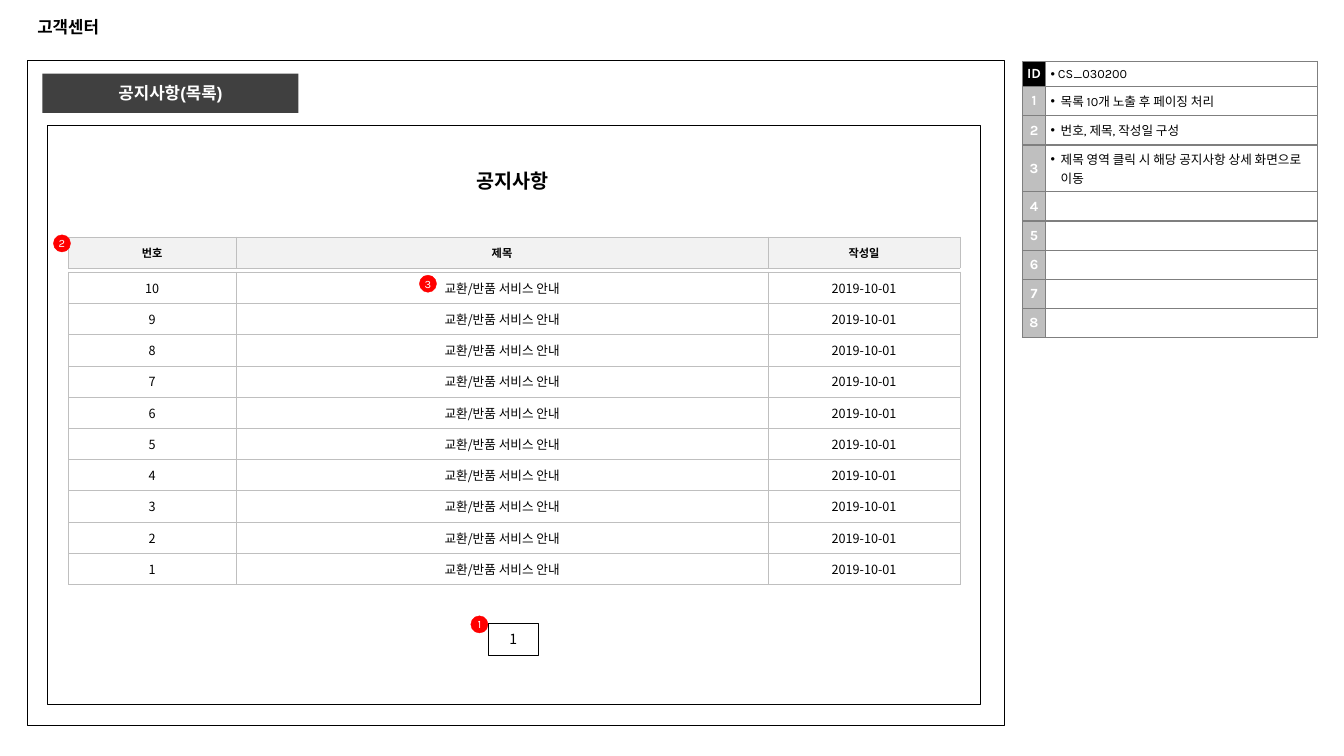
from dataclasses import dataclass
from typing import Optional

from lxml.etree import SubElement as Sub
from pptx import Presentation
from pptx.dml.color import RGBColor
from pptx.enum.shapes import MSO_SHAPE as Kind
from pptx.enum.text import MSO_ANCHOR as Anchor, PP_ALIGN as Align
from pptx.oxml.ns import qn
from pptx.util import Inches, Pt

BLACK = RGBColor(0, 0, 0)
WHITE = RGBColor(255, 255, 255)
DARK = RGBColor(0x40, 0x40, 0x40)
GRAY = RGBColor(0x7F, 0x7F, 0x7F)
SILVER = RGBColor(0xBF, 0xBF, 0xBF)
PALE = RGBColor(0xF2, 0xF2, 0xF2)
RED = RGBColor(255, 0, 0)
NOTO = "Noto Sans CJK KR"


@dataclass
class Style:
    size: float
    face: str
    color: RGBColor = BLACK
    bold: bool = False


@dataclass
class Box:
    left: float
    top: float
    width: float
    height: float
    text: str = ""
    style: Optional[Style] = None
    fill: Optional[RGBColor] = None
    line: Optional[RGBColor] = BLACK
    weight: float = 0.25
    kind: Kind = Kind.RECTANGLE
    inset: Optional[float] = None


HEAD = Style(12, "Arial", bold=True)
BAR = Style(12, "Arial", WHITE, True)
TOPIC = Style(14, "Arial", bold=True)
LABEL = Style(8, NOTO, bold=True)
BODY = Style(9, NOTO)
PAGE = Style(10, NOTO)
DOT = Style(8, "Karla", WHITE)
KEY = Style(10, "Karla", WHITE, True)
NOTE = Style(9, "Karla")


def write(frame, text: str, style: Style, align=Align.CENTER) -> None:
    frame.text = text
    para = frame.paragraphs[0]
    para.alignment = align
    for run in para.runs:
        font = run.font
        font.size, font.name, font.bold = Pt(style.size), style.face, style.bold
        font.color.rgb = style.color
        Sub(run._r.get_or_add_rPr(), qn("a:ea"), typeface=NOTO)
    if not text:
        Sub(para._p, qn("a:endParaRPr"), sz=str(int(style.size * 100)))


def pad(item, inset: float) -> None:
    item.margin_left = item.margin_right = Inches(inset)
    item.margin_top = item.margin_bottom = Inches(inset)


def draw(slide, box: Box) -> None:
    shape = slide.shapes.add_shape(
        box.kind, Inches(box.left), Inches(box.top),
        Inches(box.width), Inches(box.height))
    shape.shadow.inherit = False
    if box.fill is None:
        shape.fill.background()
    else:
        shape.fill.solid()
        shape.fill.fore_color.rgb = box.fill
    if box.line is None:
        shape.line.fill.background()
    else:
        shape.line.color.rgb = box.line
        shape.line.width = Pt(box.weight)
    if box.style:
        frame = shape.text_frame
        frame.vertical_anchor = Anchor.MIDDLE
        if box.inset is not None:
            pad(frame, box.inset)
        write(frame, box.text, box.style)


def grid(slide, left: float, top: float, cols: list[float], rows: list[float]):
    table = slide.shapes.add_table(
        len(rows), len(cols), Inches(left), Inches(top),
        Inches(sum(cols)), Inches(sum(rows))).table
    table.first_row = table.horz_banding = False
    for col, width in zip(table.columns, cols):
        col.width = Inches(width)
    for row, height in zip(table.rows, rows):
        row.height = Inches(height)
    return table


def edge(cell, color: RGBColor, weight: float) -> None:
    props = cell._tc.get_or_add_tcPr()
    for side in ("lnL", "lnR", "lnT", "lnB"):
        line = Sub(props, qn("a:" + side), w=str(Pt(weight)))
        Sub(Sub(line, qn("a:solidFill")), qn("a:srgbClr"), val=str(color))


def fill(cell, text: str, style: Style, back: RGBColor,
         line: RGBColor, weight: float) -> None:
    pad(cell, 0)
    cell.vertical_anchor = Anchor.MIDDLE
    edge(cell, line, weight)
    cell.fill.solid()
    cell.fill.fore_color.rgb = back
    write(cell.text_frame, text, style)


def note(cell, text: str, hang: float) -> None:
    pad(cell, 0.05)
    edge(cell, GRAY, 1)
    cell.fill.background()
    write(cell.text_frame, text, NOTE, Align.LEFT)
    if text:
        props = cell.text_frame.paragraphs[0]._p.get_or_add_pPr()
        props.set("marL", str(Inches(hang)))
        props.set("indent", str(-Inches(hang)))
        Sub(props, qn("a:buFont"), typeface="Arial")
        Sub(props, qn("a:buChar"), char="•")


def notes(slide) -> None:
    texts = [" CS_030200", "목록 10개 노출 후 페이징 처리", "번호, 제목, 작성일 구성",
             "제목 영역 클릭 시 해당 공지사항 상세 화면으로 이동"] + [""] * 5
    rows = [0.25, 0.29, 0.29, 0.46] + [0.29] * 5
    table = grid(slide, 10.14, 0.61, [0.23, 2.7], rows)
    for i, text in enumerate(texts):
        fill(table.cell(i, 0), str(i) if i else "ID", KEY,
             SILVER if i else BLACK, GRAY, 1)
        note(table.cell(i, 1), text, 0.1 if i else 0)


def board(slide, top: float, data: list[tuple[str, ...]], style: Style,
          back: RGBColor, weight: float) -> None:
    table = grid(slide, 0.68, top, [1.66, 5.28, 1.9], [0.31] * len(data))
    for i, row in enumerate(data):
        for j, text in enumerate(row):
            fill(table.cell(i, j), text, style, back, SILVER, weight)


def main() -> None:
    deck = Presentation()
    deck.slide_width, deck.slide_height = Inches(13.33), Inches(7.5)
    slide = deck.slides.add_slide(deck.slide_layouts[5])

    title = slide.shapes.title
    title.left, title.top = Inches(0.27), Inches(0.07)
    title.width, title.height = Inches(12.79), Inches(0.39)
    title.text_frame.vertical_anchor = Anchor.MIDDLE
    write(title.text_frame, "고객센터", HEAD, Align.LEFT)

    draw(slide, Box(0.27, 0.6, 9.69, 6.6, weight=0.75))
    draw(slide, Box(0.47, 1.24, 9.25, 5.75))
    draw(slide, Box(0.42, 0.73, 2.54, 0.39, "공지사항(목록)", BAR, DARK, None))
    notes(slide)

    topic = slide.shapes.add_textbox(
        Inches(4.14), Inches(1.63), Inches(1.89), Inches(0.34))
    topic.text_frame.word_wrap = True
    write(topic.text_frame, "공지사항", TOPIC)

    posts = [(str(n), "교환/반품 서비스 안내", "2019-10-01")
             for n in range(10, 0, -1)]
    board(slide, 2.7, posts, BODY, WHITE, 0.5)
    board(slide, 2.35, [("번호", "제목", "작성일")], LABEL, PALE, 0.25)

    draw(slide, Box(4.84, 6.18, 0.5, 0.32, "1", PAGE, WHITE))
    spots = [(4.67, 6.11), (0.53, 2.33), (4.16, 2.73)]
    for i, (left, top) in enumerate(spots, 1):
        draw(slide, Box(left, top, 0.17, 0.17, str(i), DOT, RED, RED,
                        kind=Kind.OVAL, inset=0))
    deck.save("out.pptx")


if __name__ == "__main__":
    main()
